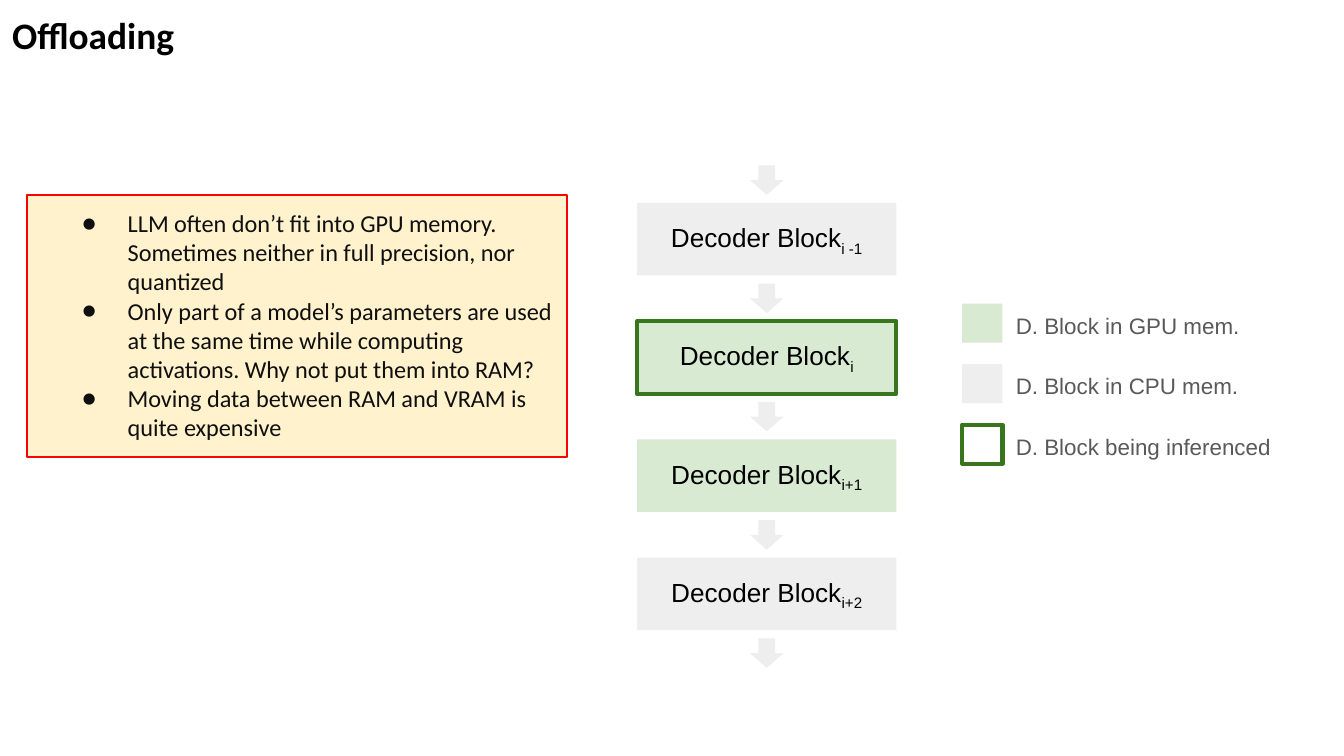
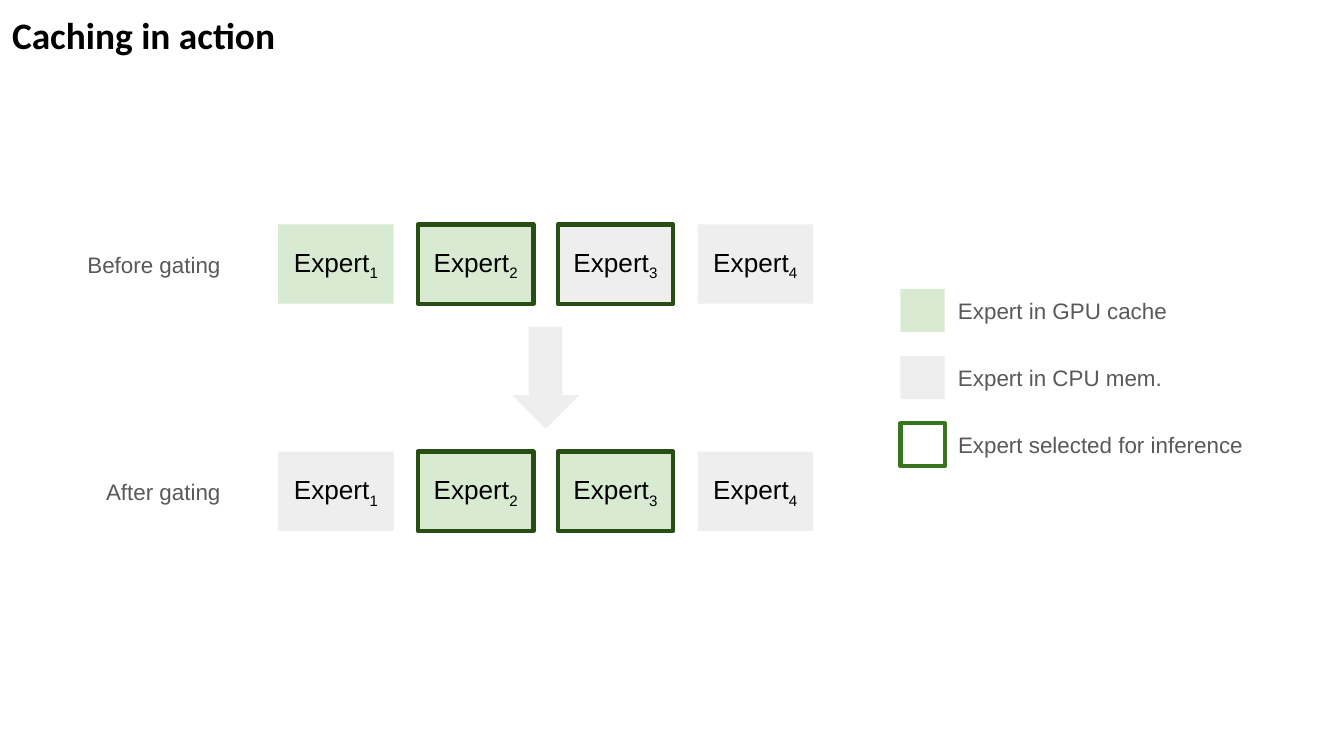
from lxml.etree import SubElement
from pptx import Presentation
from pptx.dml.color import RGBColor
from pptx.enum.shapes import MSO_SHAPE
from pptx.enum.text import MSO_ANCHOR, MSO_AUTO_SIZE, PP_ALIGN
from pptx.oxml.ns import qn
from pptx.util import Inches, Pt

# Colours
BLACK = RGBColor(0x00, 0x00, 0x00)
INK = RGBColor(0x0F, 0x0F, 0x0F)
LABEL_GREY = RGBColor(0x59, 0x59, 0x59)
GPU_GREEN = RGBColor(0xD9, 0xEA, 0xD3)
CPU_GREY = RGBColor(0xEE, 0xEE, 0xEE)
ACTIVE_GREEN = RGBColor(0x38, 0x76, 0x1D)
SELECTED_GREEN = RGBColor(0x27, 0x4E, 0x13)
NOTE_YELLOW = RGBColor(0xFF, 0xF2, 0xCC)
NOTE_RED = RGBColor(0xFF, 0x00, 0x00)

# Text styles
TITLE = {"name": "Calibri", "size": Pt(20), "bold": True, "color": BLACK}
NOTE = {"name": "Calibri", "size": Pt(13), "color": INK}
BLOCK = {"name": "Arial", "size": Pt(14), "color": BLACK}
LABEL = {"name": "Arial", "size": Pt(12), "color": LABEL_GREY}

# Content: blocks give (index, fill, outline), legends (text, fill, outline, text width)
OFFLOADING_NOTES = [
    "LLM often don’t fit into GPU memory. Sometimes neither in full precision, nor quantized",
    "Only part of a model’s parameters are used at the same time while computing activations. "
    "Why not put them into RAM?",
    "Moving data between RAM and VRAM is quite expensive",
]
DECODER_BLOCKS = [
    ("i -1", CPU_GREY, None),
    ("i", GPU_GREEN, ACTIVE_GREEN),
    ("i+1", GPU_GREEN, None),
    ("i+2", CPU_GREY, None),
]
DECODER_LEGEND = [
    ("D. Block in GPU mem.", GPU_GREEN, None, 2.14),
    ("D. Block in CPU mem.", CPU_GREY, None, 1.87),
    ("D. Block being inferenced", None, ACTIVE_GREEN, 2.34),
]
GATING_STAGES = [
    ("Before gating", 1.67, [
        ("1", GPU_GREEN, None),
        ("2", GPU_GREEN, SELECTED_GREEN),
        ("3", CPU_GREY, SELECTED_GREEN),
        ("4", CPU_GREY, None),
    ]),
    ("After gating", 3.36, [
        ("1", CPU_GREY, None),
        ("2", GPU_GREEN, SELECTED_GREEN),
        ("3", GPU_GREEN, SELECTED_GREEN),
        ("4", CPU_GREY, None),
    ]),
]
EXPERT_LEGEND = [
    ("Expert in GPU cache", GPU_GREEN, None, 2.06),
    ("Expert in CPU mem.", CPU_GREY, None, 2.06),
    ("Expert selected for inference", None, ACTIVE_GREEN, 2.59),
]


# Shared parts
def set_font(font, style):
    for key, value in style.items():
        if key == "color":
            font.color.rgb = value
        else:
            setattr(font, key, value)


def set_frame(frame, inset=0.1, left_inset=None):
    margins = {"margin_left": inset if left_inset is None else left_inset,
               "margin_top": inset, "margin_right": inset, "margin_bottom": inset}
    for side, value in margins.items():
        setattr(frame, side, Inches(value))
    frame.word_wrap = True


def add_text(slide, text, box, style, inset=0.1, align=PP_ALIGN.LEFT):
    frame = slide.shapes.add_textbox(*map(Inches, box)).text_frame
    set_frame(frame, inset)
    frame.auto_size = MSO_AUTO_SIZE.SHAPE_TO_FIT_TEXT
    paragraph = frame.paragraphs[0]
    paragraph.alignment = align
    run = paragraph.add_run()
    run.text = text
    set_font(run.font, style)


def add_panel(shapes, box, fill, outline=None, weight=2.25, kind=MSO_SHAPE.RECTANGLE):
    panel = shapes.add_shape(kind, *map(Inches, box))
    panel.shadow.inherit = False
    if fill is None:
        panel.fill.background()
    else:
        panel.fill.solid()
        panel.fill.fore_color.rgb = fill
    if outline is None:
        panel.line.fill.background()
    else:
        panel.line.color.rgb = outline
        panel.line.width = Pt(weight)
    return panel


def add_block(shapes, box, name, index, fill, outline):
    frame = add_panel(shapes, box, fill, outline).text_frame
    set_frame(frame)
    frame.vertical_anchor = MSO_ANCHOR.MIDDLE
    paragraph = frame.paragraphs[0]
    paragraph.alignment = PP_ALIGN.CENTER
    for text in (name, index):
        run = paragraph.add_run()
        run.text = text
        set_font(run.font, BLOCK)
    run.font._element.set("baseline", "-25000")


def add_down_arrow(shapes, center_x, center_y, length, thickness):
    box = (center_x - length / 2, center_y - thickness / 2, length, thickness)
    add_panel(shapes, box, CPU_GREY, kind=MSO_SHAPE.RIGHT_ARROW).rotation = 90


def add_legend(slide, entries, left, top, width, height, pitch):
    for row, (text, fill, outline, text_width) in enumerate(entries):
        y = top + row * pitch
        add_panel(slide.shapes, (left, y, width, height), fill, outline)
        add_text(slide, text, (left + width, y - 0.04, text_width, 0.4), LABEL)


def add_titled_slide(deck, title):
    slide = deck.slides.add_slide(deck.slide_layouts[6])
    add_text(slide, title, (0.08, 0.08, 5.54, 0.36), TITLE, inset=0.01)
    return slide


def add_bullet(paragraph, color):
    properties = paragraph._p.get_or_add_pPr()
    properties.set("marL", str(Inches(0.5)))
    properties.set("indent", str(Inches(-0.34)))
    bullet_color = SubElement(properties, qn("a:buClr"))
    SubElement(bullet_color, qn("a:srgbClr")).set("val", str(color))
    SubElement(properties, qn("a:buFont")).set("typeface", "Calibri")
    SubElement(properties, qn("a:buChar")).set("char", "●")


# Slides
def build_offloading(deck):
    slide = add_titled_slide(deck, "Offloading")

    # Notes
    note_box = add_panel(slide.shapes, (0.2, 1.45, 4.02, 1.95), NOTE_YELLOW, NOTE_RED, 0.75)
    frame = note_box.text_frame
    set_frame(frame, left_inset=0.25)
    frame.auto_size = MSO_AUTO_SIZE.SHAPE_TO_FIT_TEXT
    frame.vertical_anchor = MSO_ANCHOR.TOP
    for row, note in enumerate(OFFLOADING_NOTES):
        paragraph = frame.add_paragraph() if row else frame.paragraphs[0]
        paragraph.alignment = PP_ALIGN.LEFT
        add_bullet(paragraph, INK)
        run = paragraph.add_run()
        run.text = note
        set_font(run.font, NOTE)

    add_legend(slide, DECODER_LEGEND, 7.16, 2.26, 0.3, 0.29, 0.45)

    # Decoder stack, with an arrow above each block and one below the last
    left, top, width, height, pitch = 4.74, 1.51, 1.93, 0.54, 0.88
    stack = slide.shapes.add_group_shape().shapes
    for row, (index, fill, outline) in enumerate(DECODER_BLOCKS):
        box = (left, top + row * pitch, width, height)
        add_block(stack, box, "Decoder Block", index, fill, outline)
    for row in range(len(DECODER_BLOCKS) + 1):
        arrow_y = top + row * pitch - (pitch - height) / 2
        add_down_arrow(stack, left + width / 2, arrow_y, 0.22, 0.25)


def build_caching(deck):
    slide = add_titled_slide(deck, "Caching in action")

    # Experts before and after gating
    left, width, height, pitch = 2.07, 0.86, 0.59, 1.04
    for stage, top, experts in GATING_STAGES:
        for column, (index, fill, outline) in enumerate(experts):
            box = (left + column * pitch, top, width, height)
            add_block(slide.shapes, box, "Expert", index, fill, outline)
        add_text(slide, stage, (0, top + 0.1, 1.74, 0.4), LABEL, align=PP_ALIGN.RIGHT)

    # Arrow centred between the two rows
    center_x = left + (3 * pitch + width) / 2
    center_y = (GATING_STAGES[0][1] + GATING_STAGES[1][1] + height) / 2
    add_down_arrow(slide.shapes, center_x, center_y, 0.76, 0.5)

    add_legend(slide, EXPERT_LEGEND, 6.7, 2.15, 0.33, 0.32, 0.5)


def main():
    deck = Presentation()
    deck.slide_width = Inches(10)
    deck.slide_height = deck.slide_width * 9 // 16
    build_offloading(deck)
    build_caching(deck)
    deck.save("out.pptx")


if __name__ == "__main__":
    main()
